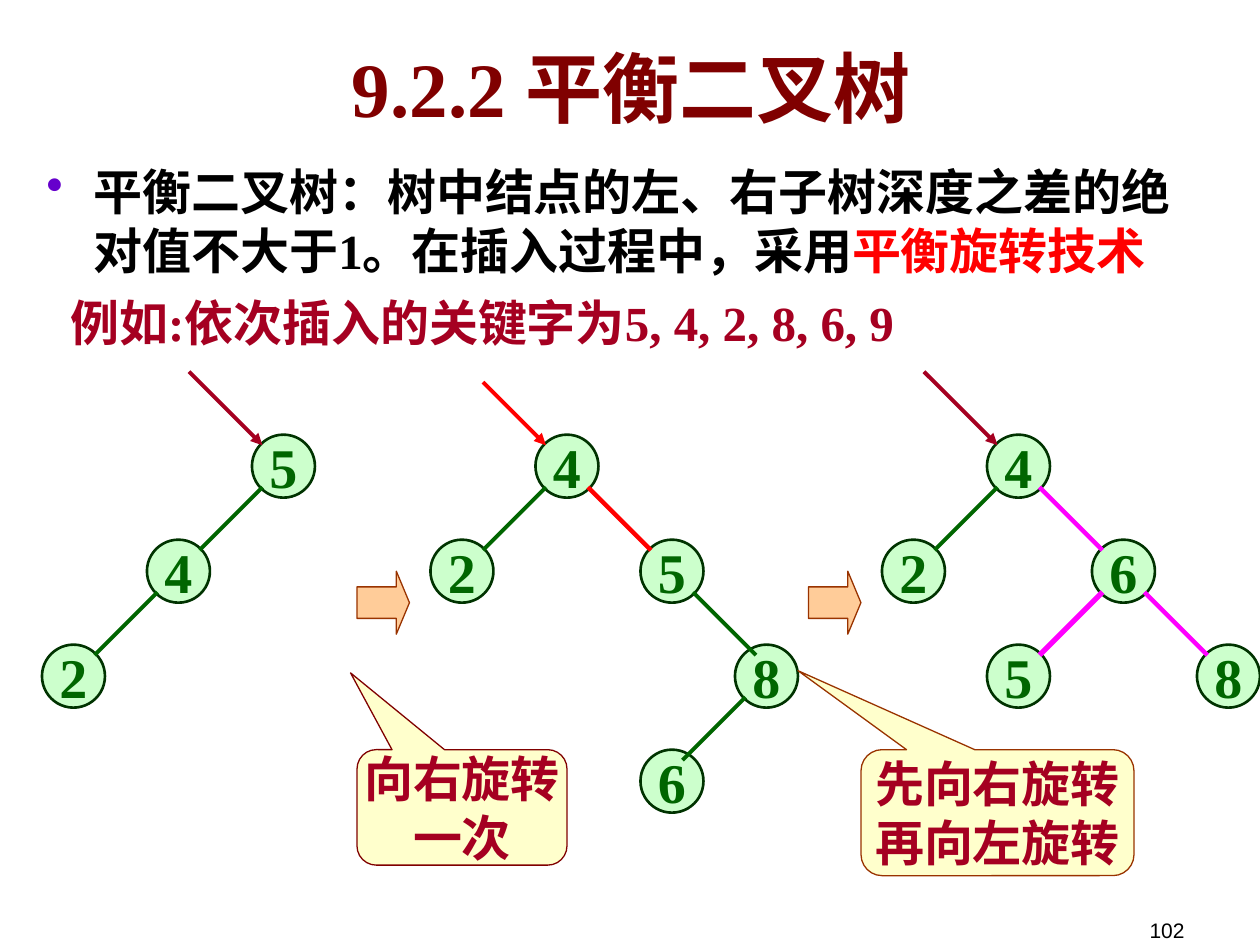
import pptx
import pptx.util
import pptx.dml.color
import pptx.enum.shapes
import pptx.enum.text
import pptx.oxml
import pptx.oxml.ns

Pt = pptx.util.Pt
Shapes = pptx.enum.shapes.MSO_SHAPE
Align = pptx.enum.text.PP_ALIGN
Anchor = pptx.enum.text.MSO_ANCHOR

SERIF = "Times New Roman"
GREEN, RED, CRIMSON, MAGENTA = "006600", "FF0000", "A50021", "FF00FF"

TITLE = "9.2.2 平衡二叉树"
DEFINITION = [
    ("平衡二叉树：树中结点的左、右子树深度之差的绝对值不大于1。在插入过程中，采用", "000000"),
    ("平衡旋转技术", RED),
]
EXAMPLE = "例如:依次插入的关键字为5, 4, 2, 8, 6, 9"
PAGE_NUMBER = "102"

TREES = [
    {"nodes": {"5": (144, 0), "4": (84, 1), "2": (24, 2)},
     "edges": [("5", "4", GREEN, 2.25), ("4", "2", GREEN, 2.25)],
     "pointer": ("5", 42, CRIMSON)},
    {"nodes": {"4": (306, 0), "2": (246, 1), "5": (366, 1), "8": (420, 2), "6": (366, 3)},
     "edges": [("4", "2", GREEN, 2.25), ("4", "5", RED, 2.5),
               ("5", "8", GREEN, 2.25), ("8", "6", GREEN, 2.25)],
     "pointer": ("4", 36, RED)},
    {"nodes": {"4": (564, 0), "2": (504, 1), "6": (624, 1), "5": (564, 2), "8": (684, 2)},
     "edges": [("4", "2", GREEN, 2.25), ("4", "6", MAGENTA, 2.5),
               ("6", "5", MAGENTA, 3), ("6", "8", MAGENTA, 2.5)],
     "pointer": ("4", 42, CRIMSON)},
]
STEP_ARROW_LEFTS = [204, 462]
CALLOUTS = [
    (["向右旋转", "一次"], (204, 428.4, 120, 66), (-0.531, -1.165, 0.167), "800000"),
    (["先向右旋转", "再向左旋转"], (492, 428.4, 156, 72), (-0.731, -1.127, 0.167), "993300"),
]

NODE_SIZE, INSET, EDGE_SPAN = 36, 6, 36
TREE_TOP, LEVEL_HEIGHT = 248.4, 60


def color(value):
    return pptx.dml.color.RGBColor.from_string(value)


def add_element(parent, xml):
    namespace = pptx.oxml.ns.nsdecls("a")
    parent.append(pptx.oxml.parse_xml(xml.replace("/>", f" {namespace}/>", 1)))


def format_run(run, size, value, name=SERIF, bold=True):
    run.font.size = Pt(size)
    run.font.name = name
    run.font.bold = bold
    run.font.color.rgb = color(value)


def write(shape, lines, size, value, align=Align.LEFT, name=SERIF, bold=True):
    shape.text_frame.text = "\n".join(lines)
    for paragraph in shape.text_frame.paragraphs:
        paragraph.alignment = align
        for run in paragraph.runs:
            format_run(run, size, value, name, bold)


def add_box(slide, bounds, wrap=True, anchor=Anchor.TOP):
    box = slide.shapes.add_textbox(*map(Pt, bounds))
    box.text_frame.word_wrap = wrap
    box.text_frame.vertical_anchor = anchor
    return box


def add_shape(slide, kind, bounds, fill, line, width, adjustments=()):
    shape = slide.shapes.add_shape(kind, *map(Pt, bounds))
    shape.shadow.inherit = False
    shape.fill.solid()
    shape.fill.fore_color.rgb = color(fill)
    shape.line.color.rgb = color(line)
    shape.line.width = Pt(width)
    for index, value in enumerate(adjustments):
        shape.adjustments[index] = value
    shape.text_frame.word_wrap = False
    shape.text_frame.vertical_anchor = Anchor.MIDDLE
    return shape


def add_line(slide, start, end, value, width, arrow=False):
    connector = slide.shapes.add_connector(
        pptx.enum.shapes.MSO_CONNECTOR.STRAIGHT, *map(Pt, (*start, *end)))
    connector.line.color.rgb = color(value)
    connector.line.width = Pt(width)
    if arrow:
        add_element(connector.line._get_or_add_ln(), '<a:tailEnd type="triangle"/>')
    add_element(connector._element.spPr, "<a:effectLst/>")


def add_tree(slide, tree):
    corners = {key: (left, TREE_TOP + level * LEVEL_HEIGHT)
               for key, (left, level) in tree["nodes"].items()}
    for key, (left, top) in corners.items():
        node = add_shape(slide, Shapes.OVAL, (left, top, NODE_SIZE, NODE_SIZE),
                         "CCFFCC", "003300", 1.5)
        write(node, [key], 32, GREEN, Align.CENTER)
    for parent, child, value, width in tree["edges"]:
        left, top = corners[parent]
        goes_right = corners[child][0] > left
        x = left + (NODE_SIZE - INSET if goes_right else INSET)
        y = top + NODE_SIZE - INSET
        end_x = x + (EDGE_SPAN if goes_right else -EDGE_SPAN)
        add_line(slide, (x, y), (end_x, y + EDGE_SPAN), value, width)
    root, length, value = tree["pointer"]
    x, y = (corner + INSET for corner in corners[root])
    add_line(slide, (x - length, y - length), (x, y), value, 2.25, arrow=True)


def main():
    presentation = pptx.Presentation()
    presentation.slide_width, presentation.slide_height = Pt(720), Pt(540)
    slide = presentation.slides.add_slide(presentation.slide_layouts[5])

    title = slide.shapes.title
    title.left, title.top, title.width, title.height = map(Pt, (36.7, 9.4, 648, 80.6))
    title.text_frame.vertical_anchor = Anchor.MIDDLE
    write(title, [TITLE], 44, "800000", Align.CENTER)

    definition = add_box(slide, (19.4, 88.6, 680.4, 408.2))
    paragraph = definition.text_frame.paragraphs[0]
    properties = paragraph._p.get_or_add_pPr()
    properties.set("marL", str(Pt(27)))
    properties.set("indent", str(Pt(-27)))
    bullet_color = pptx.oxml.parse_xml(
        f'<a:buClr {pptx.oxml.ns.nsdecls("a")}><a:srgbClr val="6600CC"/></a:buClr>')
    properties.append(bullet_color)
    add_element(properties, '<a:buChar char="•"/>')
    for text, value in DEFINITION:
        run = paragraph.add_run()
        run.text = text
        format_run(run, 28, value)

    example = add_box(slide, (33.1, 163.4, 504.7, 41), wrap=False)
    write(example, [EXAMPLE], 28, CRIMSON)

    for tree in TREES:
        add_tree(slide, tree)
    for left in STEP_ARROW_LEFTS:
        add_shape(slide, Shapes.RIGHT_ARROW, (left, 326.4, 30, 36),
                  "FFCC99", "993300", 0.75, (0.5, 0.25))
    for lines, bounds, adjustments, outline in CALLOUTS:
        callout = add_shape(slide, Shapes.ROUNDED_RECTANGULAR_CALLOUT, bounds,
                            "FFFFCC", outline, 0.75, adjustments)
        write(callout, lines, 28, CRIMSON, Align.CENTER)

    number = add_box(slide, (516.2, 506.2, 167.8, 36), anchor=Anchor.BOTTOM)
    write(number, [PAGE_NUMBER], 12, "000000", Align.RIGHT, "Arial", False)
    presentation.save("out.pptx")


if __name__ == "__main__":
    main()
